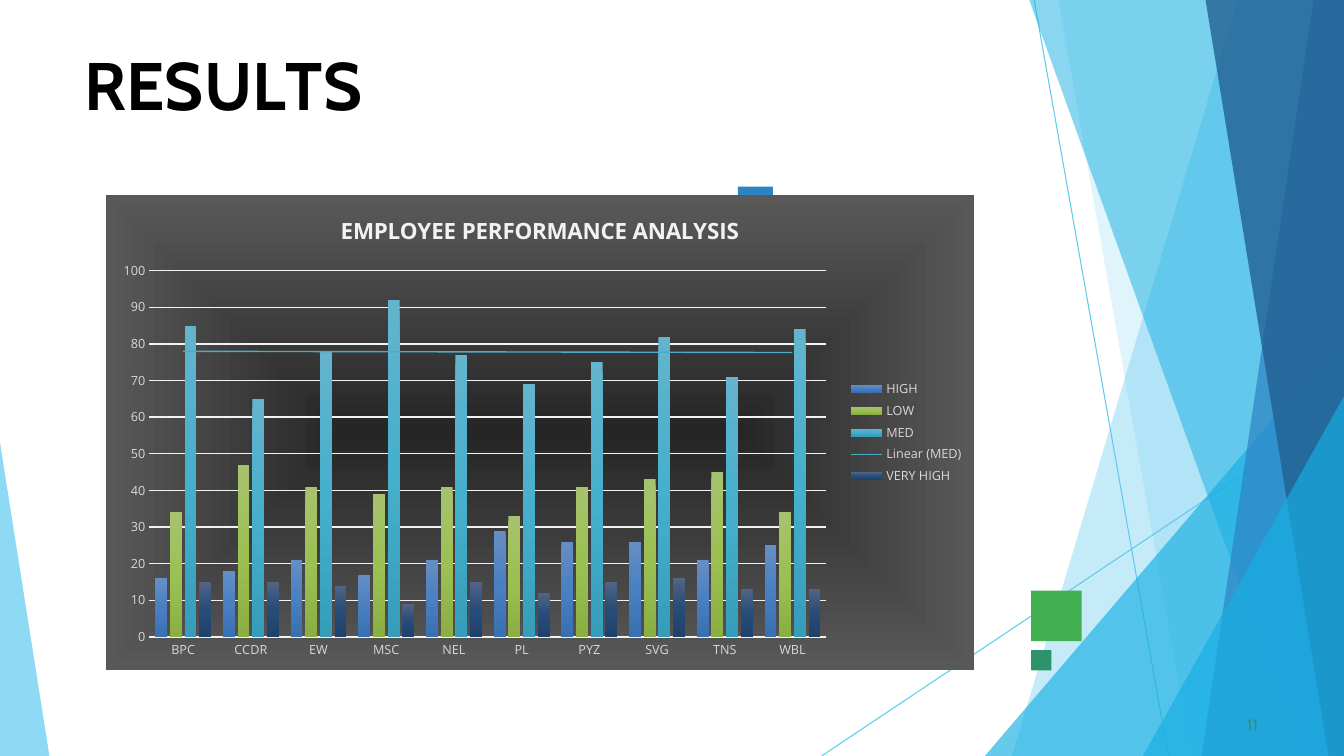
"""Build the results slide: a faceted backdrop and an employee performance chart."""
from dataclasses import dataclass
from typing import Any

from lxml import etree
from pptx import Presentation, util as u
from pptx.chart.data import CategoryChartData
from pptx.dml.color import RGBColor
from pptx.enum import chart as ch, shapes as sh, text as tx
from pptx.oxml import ns, parse_xml

WIDTH, HEIGHT = u.Inches(13.333), u.Inches(7.5)
NAMESPACES = ns.nsdecls("a", "c")
PALE, GREY = "F2F2F2", "D8D8D8"


@dataclass
class Facet:
    """A translucent pane from its peak to the slide foot, in percent."""
    colour: str
    alpha: int
    top: float
    foot: float
    peak: float = 0
    wall: float = 100


@dataclass
class Ray:
    """A thin line between two points, in percent."""
    start: tuple[float, float]
    end: tuple[float, float]


@dataclass
class Tile:
    """A plain accent rectangle, in percent."""
    colour: str
    box: tuple[float, float, float, float]


@dataclass
class Level:
    """One performance level with its counts and gradient."""
    name: str
    counts: tuple[int, ...]
    gradient: tuple[str, str, str]


RAYS = [Ray((76.95, 0), (86.93, 100)), Ray((100, 53.87), (61.13, 100))]
FACETS = [
    Facet("5FCAEE", 36, 92.1, 75.3),
    Facet("5FCAEE", 20, 78.75, 88.65),
    Facet("17AFE3", 66, 100, 73.28, 44.4),
    Facet("17AFE3", 50, 76.58, 96.83),
    Facet("2D83C3", 70, 97.73, 89.4),
    Facet("226192", 80, 89.7, 98.85),
    Facet("17AFE3", 66, 100, 85.05, 52.4),
    Facet("5FCAEE", 70, 0, 3.68, 58.53, 0),
]
TILES = [
    Tile("42AF51", (76.73, 78.13, 3.75, 6.67)),
    Tile("2D83C3", (54.9, 24.67, 2.6, 4.7)),
    Tile("2D936B", (76.73, 86, 1.5, 2.67)),
]
TEAMS = ("BPC", "CCDR", "EW", "MSC", "NEL", "PL", "PYZ", "SVG", "TNS", "WBL")
LEVELS = [
    Level("HIGH", (16, 18, 21, 17, 21, 29, 26, 26, 21, 25), ("668EC4", "4A80C2", "3970B2")),
    Level("LOW", (34, 47, 41, 39, 41, 33, 41, 43, 45, 34), ("A7C26E", "9CC054", "8BAF43")),
    Level("MED", (85, 65, 78, 92, 77, 69, 75, 82, 71, 84), ("64B4CD", "46AFCC", "369EBB")),
    Level("VERY HIGH", (15, 15, 14, 9, 15, 12, 15, 16, 13, 13), ("516484", "284C78", "1F426D")),
]
HEADING = [("R", 0), ("E", -40), ("S", 10), ("U", -30), ("L", -400), ("TS", 0)]


def colour(code: str) -> RGBColor:
    """Turn a hex string into a colour."""
    return RGBColor.from_string(code)


def apply(target: Any, **values: Any) -> None:
    """Set every given format value on the target."""
    for name, value in values.items():
        setattr(target, name, value)


def style_font(font: Any, face: str, size: float, code: str, bold: bool = False) -> None:
    """Give a font its face, size, colour and weight."""
    apply(font, name=face, size=u.Pt(size), bold=bold)
    font.color.rgb = colour(code)


def style_line(line: Any, code: str, width: float) -> None:
    """Give a line its colour and width in points."""
    line.color.rgb = colour(code)
    line.width = u.Pt(width)


def place(x: float, y: float) -> tuple[int, int]:
    """Convert percent of the slide to lengths."""
    return round(WIDTH * x / 100), round(HEIGHT * y / 100)


def paint(shape: Any, code: str) -> None:
    """Fill a shape flat, without outline or shadow."""
    shape.shadow.inherit = False
    shape.fill.solid()
    shape.fill.fore_color.rgb = colour(code)
    shape.line.fill.background()


def draw_ray(slide: Any, ray: Ray) -> None:
    """Draw one backdrop line."""
    line = slide.shapes.add_connector(sh.MSO_CONNECTOR.STRAIGHT, *place(*ray.start), *place(*ray.end))
    style_line(line.line, "5FCAEE", 0.75)
    etree.SubElement(line._element.spPr, ns.qn("a:effectLst"))


def draw_facet(slide: Any, facet: Facet) -> None:
    """Draw one translucent pane."""
    corners = [(facet.wall, facet.peak), (facet.top, facet.peak), (facet.foot, 100), (facet.wall, 100)]
    first, *rest = [place(*corner) for corner in dict.fromkeys(corners)]
    builder = slide.shapes.build_freeform(*first)
    builder.add_line_segments(rest, close=True)
    pane = builder.convert_to_shape()
    paint(pane, facet.colour)
    tint = pane._element.spPr.find(".//" + ns.qn("a:srgbClr"))
    etree.SubElement(tint, ns.qn("a:alpha"), val=str(facet.alpha * 1000))


def draw_tile(slide: Any, tile: Tile) -> None:
    """Draw one accent rectangle."""
    x, y, w, h = tile.box
    paint(slide.shapes.add_shape(sh.MSO_SHAPE.RECTANGLE, *place(x, y), *place(w, h)), tile.colour)


def write(slide: Any, box: tuple[float, float, float, float], pieces: list[tuple[str, int]],
          size: float, code: str, bold: bool, before: float, indent: float) -> None:
    """Write one line of text whose pieces differ in letter spacing."""
    x, y, w, h = box
    frame = slide.shapes.add_textbox(*place(x, y), *place(w, h)).text_frame
    apply(frame, word_wrap=True, auto_size=tx.MSO_AUTO_SIZE.NONE, margin_left=0,
          margin_top=u.Inches(0.01), margin_right=0, margin_bottom=0)
    line = frame.paragraphs[0]
    line.space_before = u.Pt(before)
    line._p.get_or_add_pPr().set("marL", str(u.Inches(indent)))
    for words, spacing in pieces:
        run = line.add_run()
        run.text = words
        style_font(run.font, "Cabin", size, code, bold)
        run._r.get_or_add_rPr().set("spc", str(spacing))


def gradient(codes: tuple[str, ...], course: str) -> Any:
    """Make chart shape properties with an even gradient."""
    step = 100000 // (len(codes) - 1)
    stops = "".join(f'<a:gs pos="{i * step}"><a:srgbClr val="{code}"/></a:gs>' for i, code in enumerate(codes))
    return parse_xml(f'<c:spPr {NAMESPACES}><a:gradFill rotWithShape="1"><a:gsLst>{stops}</a:gsLst>{course}'
                     '</a:gradFill><a:ln><a:noFill/></a:ln></c:spPr>')


def draw_chart(slide: Any) -> None:
    """Draw the clustered columns with a trend for the medium level."""
    data = CategoryChartData()
    data.categories = TEAMS
    for level in LEVELS:
        data.add_series(level.name, level.counts)
    chart = slide.shapes.add_chart(ch.XL_CHART_TYPE.COLUMN_CLUSTERED, *place(7.88, 25.73),
                                   *place(64.58, 62.93), data).chart
    style_font(chart.font, "Open Sans", 10, "000000")
    apply(chart, has_title=True, has_legend=True)
    chart.chart_title.text_frame.text = "EMPLOYEE PERFORMANCE ANALYSIS"
    style_font(chart.chart_title.text_frame.paragraphs[0].runs[0].font, "Open Sans", 16, PALE, True)
    apply(chart.legend, position=ch.XL_LEGEND_POSITION.RIGHT, include_in_layout=False)
    style_font(chart.legend.font, "Open Sans", 9, GREY)
    for axis in (chart.category_axis, chart.value_axis):
        apply(axis, major_tick_mark=ch.XL_TICK_MARK.NONE, minor_tick_mark=ch.XL_TICK_MARK.NONE)
        style_font(axis.tick_labels.font, "Open Sans", 9, GREY)
    style_line(chart.category_axis.format.line, PALE, 1)
    apply(chart.value_axis, minimum_scale=0, maximum_scale=100, major_unit=10, has_major_gridlines=True)
    chart.value_axis.format.line.fill.background()
    style_line(chart.value_axis.major_gridlines.format.line, PALE, 1)
    plot = chart.plots[0]
    apply(plot, gap_width=100, overlap=-24, vary_by_categories=False)
    for series, level in zip(plot.series, LEVELS):
        properties = series._element.get_or_add_spPr()
        series._element.replace(properties, gradient(level.gradient, '<a:lin ang="5400000" scaled="0"/>'))
    medium = plot.series[2]._element
    medium.find(ns.qn("c:cat")).addprevious(parse_xml(
        f'<c:trendline {NAMESPACES}><c:spPr><a:ln w="12700"><a:solidFill><a:srgbClr val="4BACC6"/></a:solidFill>'
        '</a:ln></c:spPr><c:trendlineType val="linear"/><c:dispRSqr val="0"/><c:dispEq val="0"/></c:trendline>'))
    centre = '<a:path path="rect"><a:fillToRect l="50000" t="50000" r="50000" b="50000"/></a:path>'
    root = chart._chartSpace
    root.find(ns.qn("c:txPr")).addprevious(gradient(("262626", "595959"), centre))
    area = root.find(".//" + ns.qn("c:plotArea"))
    for layout in area.findall(ns.qn("c:layout")):
        area.remove(layout)
    shares = "".join(f'<c:{key} val="{share}"/>' for key, share in
                     {"x": 0.05, "y": 0.16, "w": 0.78, "h": 0.77}.items())
    area.insert(0, parse_xml(f'<c:layout {NAMESPACES}><c:manualLayout><c:layoutTarget val="inner"/>'
                             f'<c:xMode val="edge"/><c:yMode val="edge"/>{shares}</c:manualLayout></c:layout>'))


def main() -> None:
    """Assemble and save the slide."""
    deck = Presentation()
    apply(deck, slide_width=WIDTH, slide_height=HEIGHT)
    slide = deck.slides.add_slide(deck.slide_layouts[6])
    for draw, parts in ((draw_ray, RAYS), (draw_facet, FACETS), (draw_tile, TILES)):
        for part in parts:
            draw(slide, part)
    write(slide, (6.23, 5.6, 29.85, 10.8), HEADING, 48, "000000", True, 1, 0.01)
    write(slide, (92.48, 94.4, 1.88, 2.8), [("11", 10)], 11, "2D936B", False, 0.6, 0.04)
    draw_chart(slide)
    deck.save("out.pptx")


if __name__ == "__main__":
    main()
